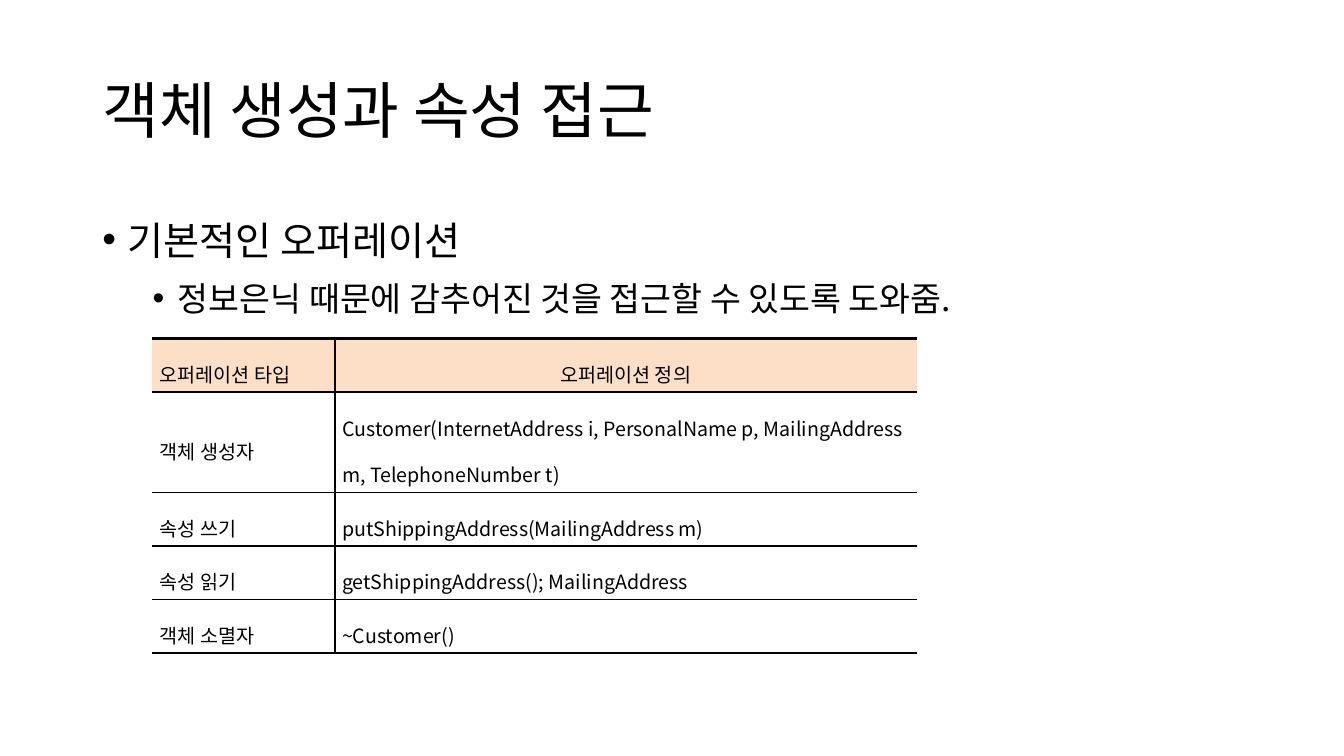
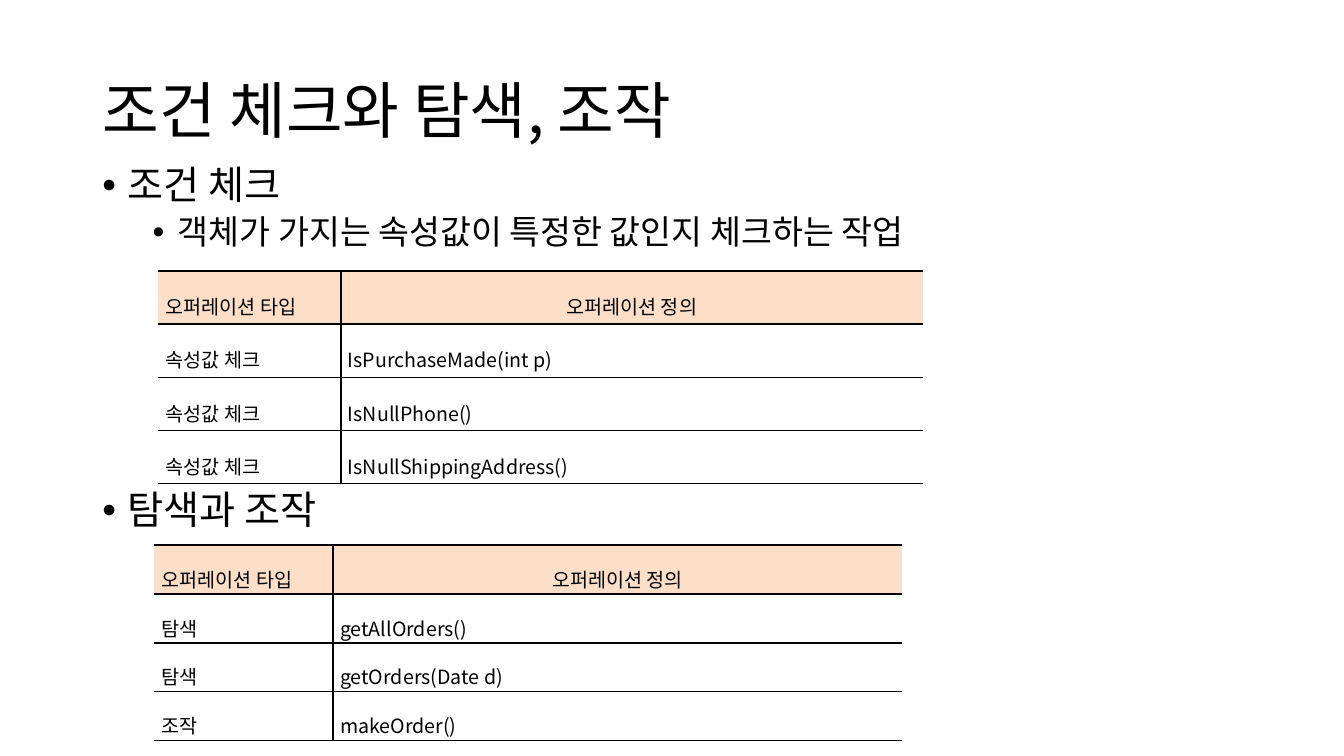
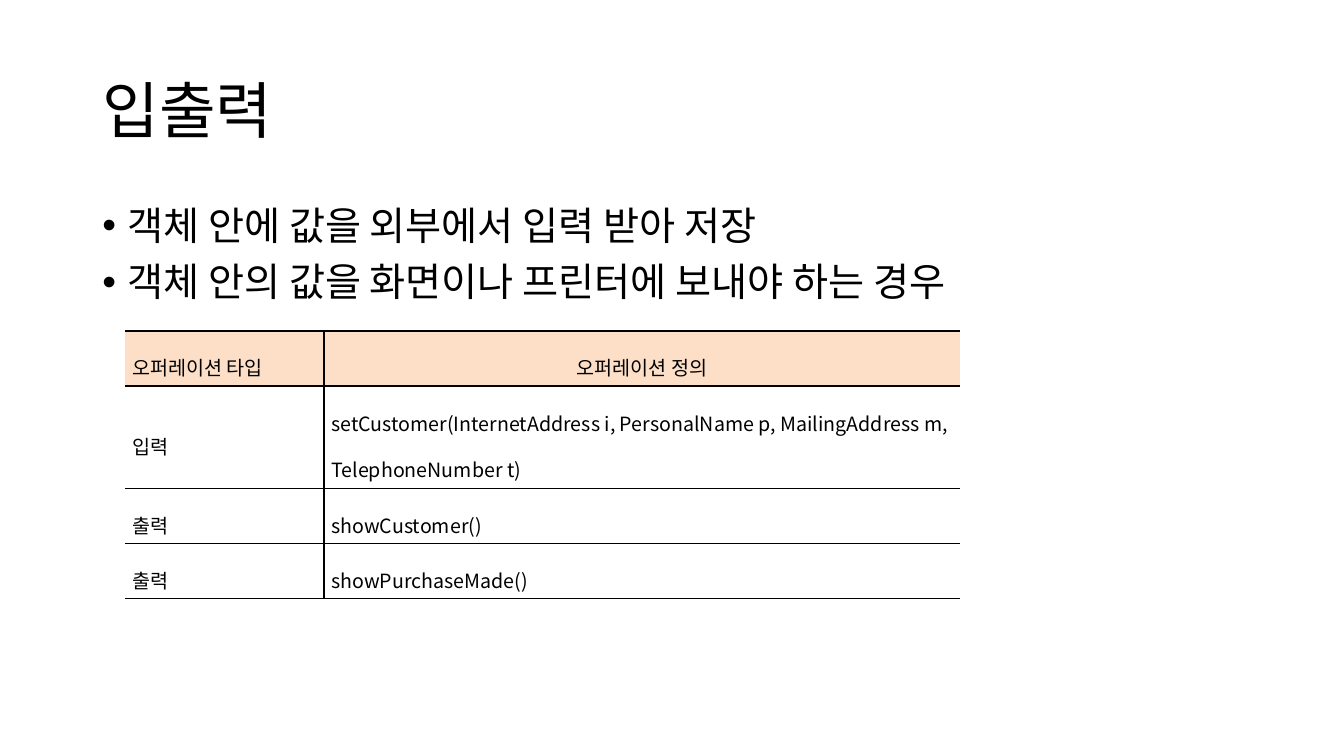
import pptx
import pptx.dml.color
import pptx.enum.text
import pptx.oxml.ns
import pptx.util
from lxml import etree
from pptx.util import Cm

COLORS = {"text": "000000", "rule": "000000", "header": "FDDFC7"}
FONT = "Noto Sans CJK KR"
TEXT_LEFT = 2.33
TEXT_WIDTH = 29.21
HEAVY_RULE = 1.7
LIGHT_RULE = 1.13
ALIGN = pptx.enum.text.PP_ALIGN
ANCHOR = pptx.enum.text.MSO_ANCHOR
HEADER = ("오퍼레이션 타입", "오퍼레이션 정의")


def color(name):
    return pptx.dml.color.RGBColor.from_string(COLORS[name])


def add_child(parent, tag, **attributes):
    return etree.SubElement(parent, pptx.oxml.ns.qn(tag), attributes)


def write(paragraph, text, size=14, align=None, spacing=0.9, before=0):
    paragraph.alignment = align
    paragraph.line_spacing = spacing
    paragraph.space_before = pptx.util.Pt(before)
    run = paragraph.add_run()
    run.text = text
    run.font.size = pptx.util.Pt(size)
    run.font.name = FONT
    run.font.color.rgb = color("text")
    add_child(run.font._element, "a:ea", typeface=FONT)


def add_text_frame(slide, top, height, anchor=ANCHOR.TOP):
    shape = slide.shapes.add_textbox(Cm(TEXT_LEFT), Cm(top), Cm(TEXT_WIDTH), Cm(height))
    frame = shape.text_frame
    frame.word_wrap = True
    frame.vertical_anchor = anchor
    return frame


def add_titled_slide(presentation, title):
    slide = presentation.slides.add_slide(presentation.slide_layouts[6])
    frame = add_text_frame(slide, 1.02, 3.68, ANCHOR.MIDDLE)
    write(frame.paragraphs[0], title, size=44)
    return slide


def add_bullets(slide, top, height, items, spacing=0.9):
    frame = add_text_frame(slide, top, height)
    for index, (level, text) in enumerate(items):
        paragraph = frame.add_paragraph() if index else frame.paragraphs[0]
        paragraph.level = level
        write(paragraph, text, size=28 - 4 * level, spacing=spacing, before=10 - 5 * level)
        properties = paragraph._p.get_or_add_pPr()
        properties.set("marL", str(Cm(0.635 + 1.27 * level)))
        properties.set("indent", str(-Cm(0.635)))
        add_child(properties, "a:buFont", typeface="Arial")
        add_child(properties, "a:buChar", char="•")


def set_borders(cell, **widths):
    properties = cell._tc.get_or_add_tcPr()
    for position, side in enumerate(("left", "right", "top", "bottom")):
        width = widths.get(side, 0)
        line = etree.Element(pptx.oxml.ns.qn("a:ln" + side[0].upper()))
        properties.insert(position, line)
        if width:
            line.set("w", str(pptx.util.Pt(width)))
            fill = add_child(line, "a:solidFill")
            add_child(fill, "a:srgbClr", val=COLORS["rule"])
        else:
            add_child(line, "a:noFill")


def format_cell(cell, text, row, column):
    cell.margin_left = cell.margin_right = Cm(0.18)
    cell.margin_top = cell.margin_bottom = Cm(0.05)
    cell.vertical_anchor = ANCHOR.MIDDLE
    align = ALIGN.JUSTIFY
    if column == 1 and row < 2:
        align = ALIGN.LEFT if row else ALIGN.CENTER
    write(cell.text_frame.paragraphs[0], text, align=align, spacing=1.6)
    if row == 0:
        cell.fill.solid()
        cell.fill.fore_color.rgb = color("header")
    else:
        cell.fill.background()
    rule = LIGHT_RULE if row else HEAVY_RULE
    divider = "left" if column else "right"
    top = HEAVY_RULE if row < 2 else LIGHT_RULE
    set_borders(cell, top=top, bottom=rule, **{divider: rule})


def add_operations(slide, left, top, widths, row_height, operations, tall_row=None):
    rows = [HEADER, *operations]
    heights = [row_height] * len(rows)
    if tall_row:
        heights[1] = tall_row
    table = slide.shapes.add_table(
        len(rows), len(widths), Cm(left), Cm(top), Cm(sum(widths)), Cm(sum(heights))
    ).table
    table.first_row = False
    table.horz_banding = False
    for column, width in zip(table.columns, widths):
        column.width = Cm(width)
    for row, (height, texts) in enumerate(zip(heights, rows)):
        table.rows[row].height = Cm(height)
        for column, text in enumerate(texts):
            format_cell(table.cell(row, column), text, row, column)


def main():
    presentation = pptx.Presentation()
    presentation.slide_width = Cm(33.867)
    presentation.slide_height = Cm(19.05)

    slide = add_titled_slide(presentation, "객체 생성과 속성 접근")
    add_bullets(slide, 5.08, 12.09, [
        (0, "기본적인 오퍼레이션"),
        (1, "정보은닉 때문에 감추어진 것을 접근할 수 있도록 도와줌."),
    ], spacing=1.2)
    add_operations(slide, 3.84, 8.53, (4.6, 14.66), 1.35, [
        ("객체 생성자", "Customer(InternetAddress i, PersonalName p, MailingAddress m, TelephoneNumber t)"),
        ("속성 쓰기", "putShippingAddress(MailingAddress m)"),
        ("속성 읽기", "getShippingAddress(); MailingAddress"),
        ("객체 소멸자", "~Customer()"),
    ], tall_row=2.53)

    slide = add_titled_slide(presentation, "조건 체크와 탐색, 조작")
    add_bullets(slide, 4.06, 2.6, [
        (0, "조건 체크"),
        (1, "객체가 가지는 속성값이 특정한 값인지 체크하는 작업"),
    ])
    add_bullets(slide, 12.24, 1.5, [(0, "탐색과 조작")])
    add_operations(slide, 3.99, 6.83, (4.6, 14.66), 1.34, [
        ("속성값 체크", "IsPurchaseMade(int p)"),
        ("속성값 체크", "IsNullPhone()"),
        ("속성값 체크", "IsNullShippingAddress()"),
    ])
    add_operations(slide, 3.89, 13.74, (4.5, 14.35), 1.23, [
        ("탐색", "getAllOrders()"),
        ("탐색", "getOrders(Date d)"),
        ("조작", "makeOrder()"),
    ])

    slide = add_titled_slide(presentation, "입출력")
    add_bullets(slide, 5.08, 12.09, [
        (0, "객체 안에 값을 외부에서 입력 받아 저장"),
        (0, "객체 안의 값을 화면이나 프린터에 보내야 하는 경우"),
    ])
    add_operations(slide, 3.15, 8.33, (5.02, 16.03), 1.39, [
        ("입력", "setCustomer(InternetAddress i, PersonalName p, MailingAddress m, TelephoneNumber t)"),
        ("출력", "showCustomer()"),
        ("출력", "showPurchaseMade()"),
    ], tall_row=2.59)

    presentation.save("out.pptx")


if __name__ == "__main__":
    main()
